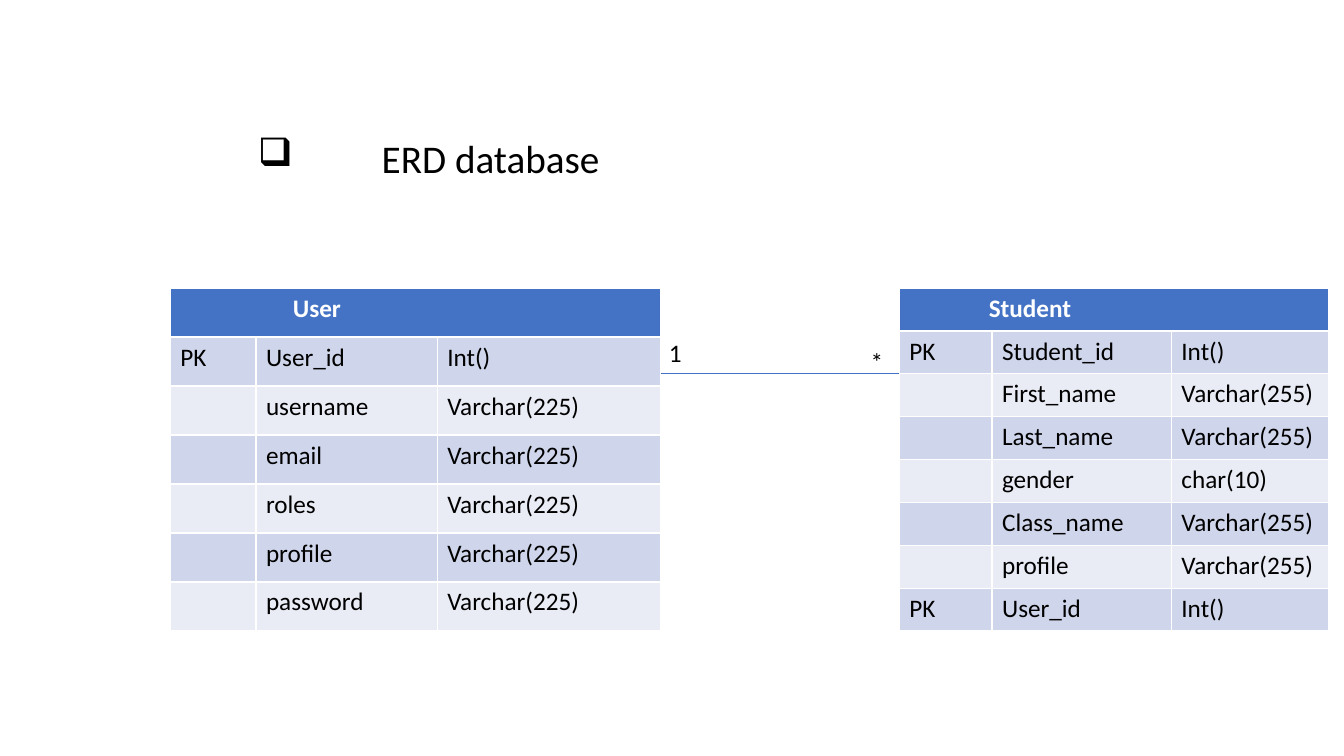
from lxml import etree
from pptx import Presentation
from pptx.dml.color import RGBColor
from pptx.enum.shapes import MSO_CONNECTOR
from pptx.oxml.ns import qn
from pptx.util import Cm, Pt

STRAIGHT = MSO_CONNECTOR.STRAIGHT
BLUE = RGBColor(0x44, 0x72, 0xC4)
BAND_DARK = RGBColor(0xCF, 0xD5, 0xEA)
BAND_LIGHT = RGBColor(0xE9, 0xEB, 0xF5)
WHITE = RGBColor(0xFF, 0xFF, 0xFF)
BLACK = RGBColor(0x00, 0x00, 0x00)
FONT = "Calibri"

TABLE_TOP, TABLE_HEIGHT = 7.26, 8.64
USER_LEFT, USER_WIDTHS = 4.29, (2.16, 4.57, 5.64)
STUDENT_LEFT, STUDENT_WIDTHS = 22.66, (2.34, 4.52, 3.96)
RELATION_Y = 9.42

USER_FIELDS = [("PK", "User_id", "Int()")] + [
    ("", name, "Varchar(225)")
    for name in ("username", "email", "roles", "profile", "password")
]
STUDENT_FIELDS = [
    ("PK", "Student_id", "Int()"),
    ("", "First_name", "Varchar(255)"),
    ("", "Last_name", "Varchar(255)"),
    ("", "gender", "char(10)"),
    ("", "Class_name", "Varchar(255)"),
    ("", "profile", "Varchar(255)"),
    ("PK", "User_id", "Int()"),
]


def write(frame, text, size=18, color=BLACK, bold=False):
    para = frame.paragraphs[0]
    para.font.size = Pt(size)
    if text:
        span = para.add_run()
        span.text = text
        span.font.name = FONT
        span.font.size = Pt(size)
        span.font.bold = bold
        span.font.color.rgb = color
    return para


class SlideBuilder:
    def __init__(self, page):
        self.page = page

    def text(self, left, top, width, height, text, bullet=None, indent=0, **style):
        box = self.page.shapes.add_textbox(Cm(left), Cm(top), Cm(width), Cm(height))
        box.text_frame.word_wrap = True
        para = write(box.text_frame, text, **style)
        if bullet:
            properties = para._p.get_or_add_pPr()
            properties.set("marL", str(Cm(indent)))
            properties.set("indent", str(-Cm(indent)))
            mark = etree.Element(qn("a:buChar"), char=bullet)
            properties.insert(0, mark)

    def entity(self, left, widths, title, title_indent, fields):
        rows = len(fields) + 1
        table = self.page.shapes.add_table(
            rows, len(widths), Cm(left), Cm(TABLE_TOP), Cm(sum(widths)), Cm(TABLE_HEIGHT)
        ).table
        for column, width in zip(table.columns, widths):
            column.width = Cm(width)
        for row in table.rows:
            row.height = Cm(TABLE_HEIGHT / rows)
        header = table.cell(0, 0)
        header.merge(table.cell(0, len(widths) - 1))
        header.margin_left = Cm(title_indent)
        self.fill(header, BLUE)
        write(header.text_frame, title, color=WHITE, bold=True)
        for row, field in enumerate(fields, start=1):
            for column, text in enumerate(field):
                cell = table.cell(row, column)
                self.fill(cell, BAND_DARK if row % 2 else BAND_LIGHT)
                write(cell.text_frame, text)

    def fill(self, cell, color):
        cell.fill.solid()
        cell.fill.fore_color.rgb = color

    def relation(self, start, end, y):
        line = self.page.shapes.add_connector(STRAIGHT, Cm(start), Cm(y), Cm(end), Cm(y))
        line.line.color.rgb = BLUE
        line.line.width = Pt(0.5)
        etree.SubElement(line._element.spPr, qn("a:effectLst"))


deck = Presentation()
deck.slide_width, deck.slide_height = Cm(33.87), Cm(19.05)
slide = SlideBuilder(deck.slides.add_slide(deck.slide_layouts[6]))

slide.entity(USER_LEFT, USER_WIDTHS, "User", 3.09, USER_FIELDS)
slide.entity(STUDENT_LEFT, STUDENT_WIDTHS, "Student", 2.26, STUDENT_FIELDS)
slide.relation(USER_LEFT + sum(USER_WIDTHS), STUDENT_LEFT, RELATION_Y)
slide.text(16.61, 8.38, 2.82, 1.02, "1")
slide.text(21.69, 8.61, 2.82, 1.02, "*")
slide.text(6.25, 3.25, 21.95, 1.45, "ERD database", bullet="❑", indent=3.12, size=28)

deck.save("out.pptx")
